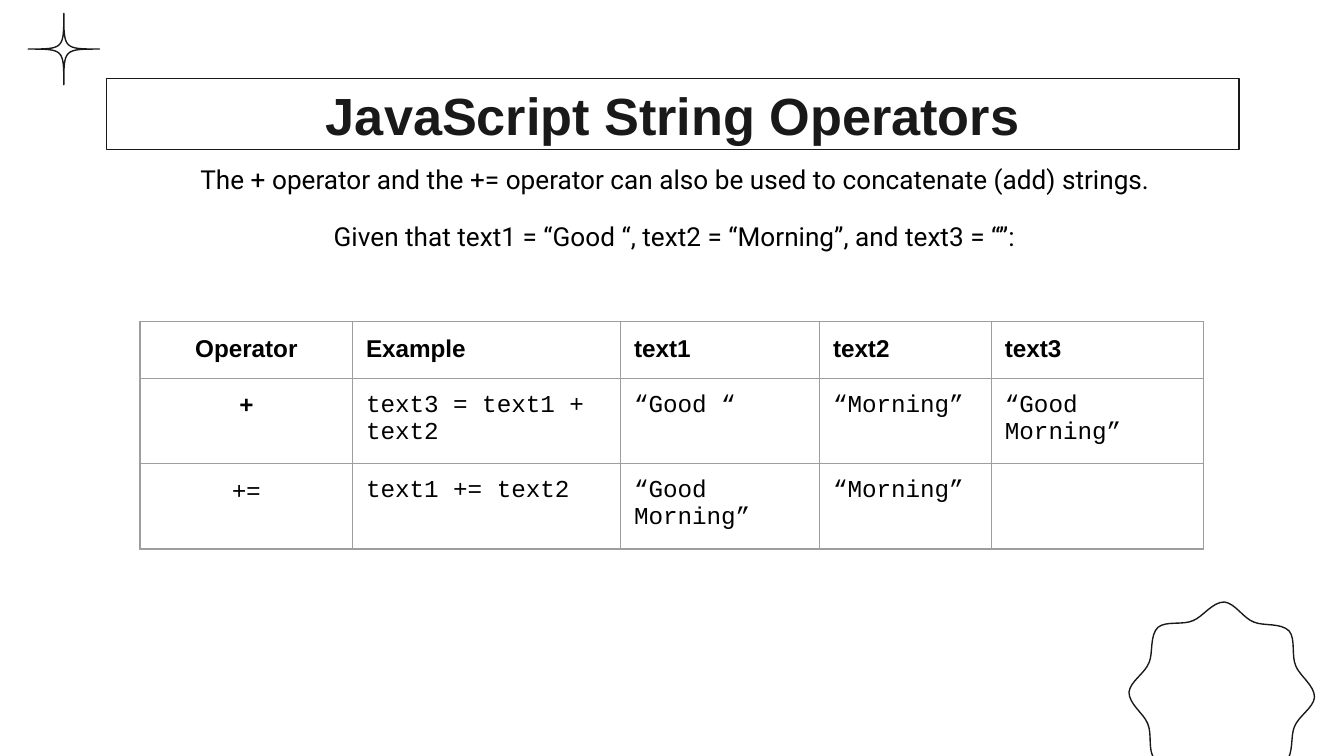
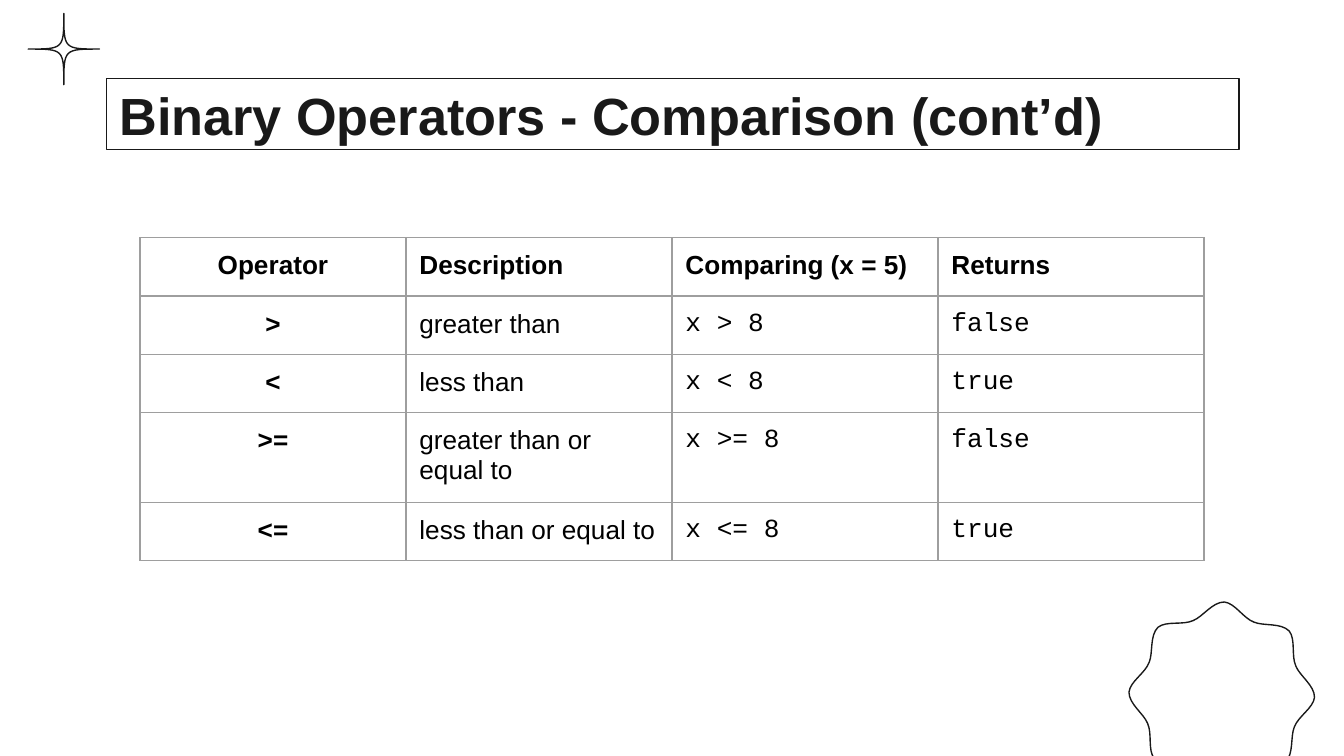
from math import cos, pi, sin

from lxml.etree import SubElement
from pptx import Presentation
from pptx.dml.color import RGBColor
from pptx.enum.shapes import MSO_SHAPE as SHAPE
from pptx.enum.text import MSO_ANCHOR as ANCHOR, MSO_AUTO_SIZE as AUTO_SIZE, PP_ALIGN as ALIGN
from pptx.oxml.ns import qn
from pptx.util import Pt

INK, BLACK, GRID = "191919", "000000", "9E9E9E"
INSET = 7.2
STYLES = {"bold": ("Arial", True), "plain": ("Arial", False), "code": ("Courier New", False)}


def color(value):
    return RGBColor.from_string(value)


def write(text_frame, text, align, font_name, size, font_color, bold=False):
    text_frame.word_wrap = True
    text_frame.margin_left = text_frame.margin_right = Pt(INSET)
    text_frame.margin_top = text_frame.margin_bottom = Pt(INSET)
    text_frame.text = text
    paragraph = text_frame.paragraphs[0]
    paragraph.alignment = align
    font = paragraph.runs[0].font
    font.name, font.size, font.bold = font_name, Pt(size), bold
    font.color.rgb = color(font_color)


lobe = [(38.9, 17.3), (41, 11.5), (49, 7.2), (49.7, 1.4), (49.7, -5), (41.8, -10.1)]
badge = []
for step in range(8):
    turn_cos, turn_sin = cos(step * pi / 4), sin(step * pi / 4)
    badge += [(654.5 + x * turn_cos + y * turn_sin, 372.2 + y * turn_cos - x * turn_sin)
              for x, y in lobe]

star_x, star_y, reach = 34.2, 26.3, 19.1
star = []
for dx, dy in [(0, 1), (-1, 0), (0, -1), (1, 0)]:
    star += [(star_x + dx * reach, star_y + dy * reach), (star_x, star_y), (star_x, star_y)]

slides = [
    {
        "title": "JavaScript String Operators",
        "title_align": ALIGN.CENTER,
        "notes": [
            (58.3, 80.6, 607, "The + operator and the += operator can also be used to concatenate (add) strings."),
            (59.8, 110.9, 603.4, "Given that text1 = “Good “, text2 = “Morning”, and text3 = “”:"),
        ],
        "table_top": 172.4,
        "size": 13,
        "columns": [113.9, 143.6, 106.6, 92.1, 113.6],
        "heights": [30.4, 45.5, 45.5],
        "rows": [
            ["Operator", "Example", "text1", "text2", "text3"],
            ["+", "text3 = text1 + text2", "“Good “", "“Morning”", "“Good Morning”"],
            ["+=", "text1 += text2", "“Good Morning”", "“Morning”", ""],
        ],
        "styles": [["bold"] * 5, ["bold"] + ["code"] * 4, ["plain"] + ["code"] * 4],
    },
    {
        "title": "Binary Operators - Comparison (cont’d)",
        "title_align": ALIGN.LEFT,
        "notes": [],
        "table_top": 127.4,
        "size": 14,
        "columns": [142.5] * 4,
        "heights": [30.2, 30.2, 30.2, 45.8, 30.2],
        "rows": [
            ["Operator", "Description", "Comparing (x = 5)", "Returns"],
            [">", "greater than", "x > 8", "false"],
            ["<", "less than", "x < 8", "true"],
            [">=", "greater than or equal to", "x >= 8", "false"],
            ["<=", "less than or equal to", "x <= 8", "true"],
        ],
        "styles": [["bold"] * 4] + [["bold", "plain", "code", "code"]] * 4,
    },
]

presentation = Presentation()
presentation.slide_width, presentation.slide_height = Pt(720), Pt(405)

for content in slides:
    slide = presentation.slides.add_slide(presentation.slide_layouts[6])

    outlined = []
    for outline in (badge, star):
        points = [(Pt(x), Pt(y)) for x, y in outline]
        builder = slide.shapes.build_freeform(*points[0])
        builder.add_line_segments(points[1:] + points[:1], close=True)
        shape = builder.convert_to_shape()
        segments = list(shape._element.iter(qn("a:lnTo")))
        for first in range(0, len(segments), 3):
            curve = SubElement(segments[first].getparent(), qn("a:cubicBezTo"))
            segments[first].addprevious(curve)
            for segment in segments[first:first + 3]:
                curve.append(segment[0])
                segment.getparent().remove(segment)
        outlined.append(shape)

    title = slide.shapes.add_shape(SHAPE.RECTANGLE, Pt(56.9), Pt(42.2), Pt(606.8), Pt(38))
    write(title.text_frame, content["title"], content["title_align"], "Arial", 28, INK, True)
    title.text_frame.vertical_anchor = ANCHOR.MIDDLE
    for shape in outlined + [title]:
        shape.shadow.inherit = False
        shape.fill.background()
        shape.line.color.rgb = color(INK)
        shape.line.width = Pt(0.75)

    for left, top, width, text in content["notes"]:
        note = slide.shapes.add_textbox(Pt(left), Pt(top), Pt(width), Pt(31.7))
        write(note.text_frame, text, ALIGN.CENTER, "Roboto", 14, BLACK)
        note.text_frame.auto_size = AUTO_SIZE.SHAPE_TO_FIT_TEXT

    rows, columns, heights = content["rows"], content["columns"], content["heights"]
    table = slide.shapes.add_table(len(rows), len(columns), Pt(75), Pt(content["table_top"]),
                                   Pt(sum(columns)), Pt(sum(heights))).table
    table.first_row = table.horz_banding = False
    for column, width in zip(table.columns, columns):
        column.width = Pt(width)
    for row, height, texts, styles in zip(table.rows, heights, rows, content["styles"]):
        row.height = Pt(height)
        for index, (cell, text, style) in enumerate(zip(row.cells, texts, styles)):
            cell.margin_left = cell.margin_right = Pt(INSET)
            cell.margin_top = cell.margin_bottom = Pt(INSET)
            if text:
                font_name, bold = STYLES[style]
                align = ALIGN.LEFT if index else ALIGN.CENTER
                write(cell.text_frame, text, align, font_name, content["size"], BLACK, bold)
            properties = cell._tc.get_or_add_tcPr()
            for side in ("lnL", "lnR", "lnT", "lnB"):
                border = SubElement(properties, qn(f"a:{side}"), w=str(Pt(0.75)))
                fill = SubElement(border, qn("a:solidFill"))
                SubElement(fill, qn("a:srgbClr"), val=GRID)
            cell.fill.background()

presentation.save("out.pptx")
